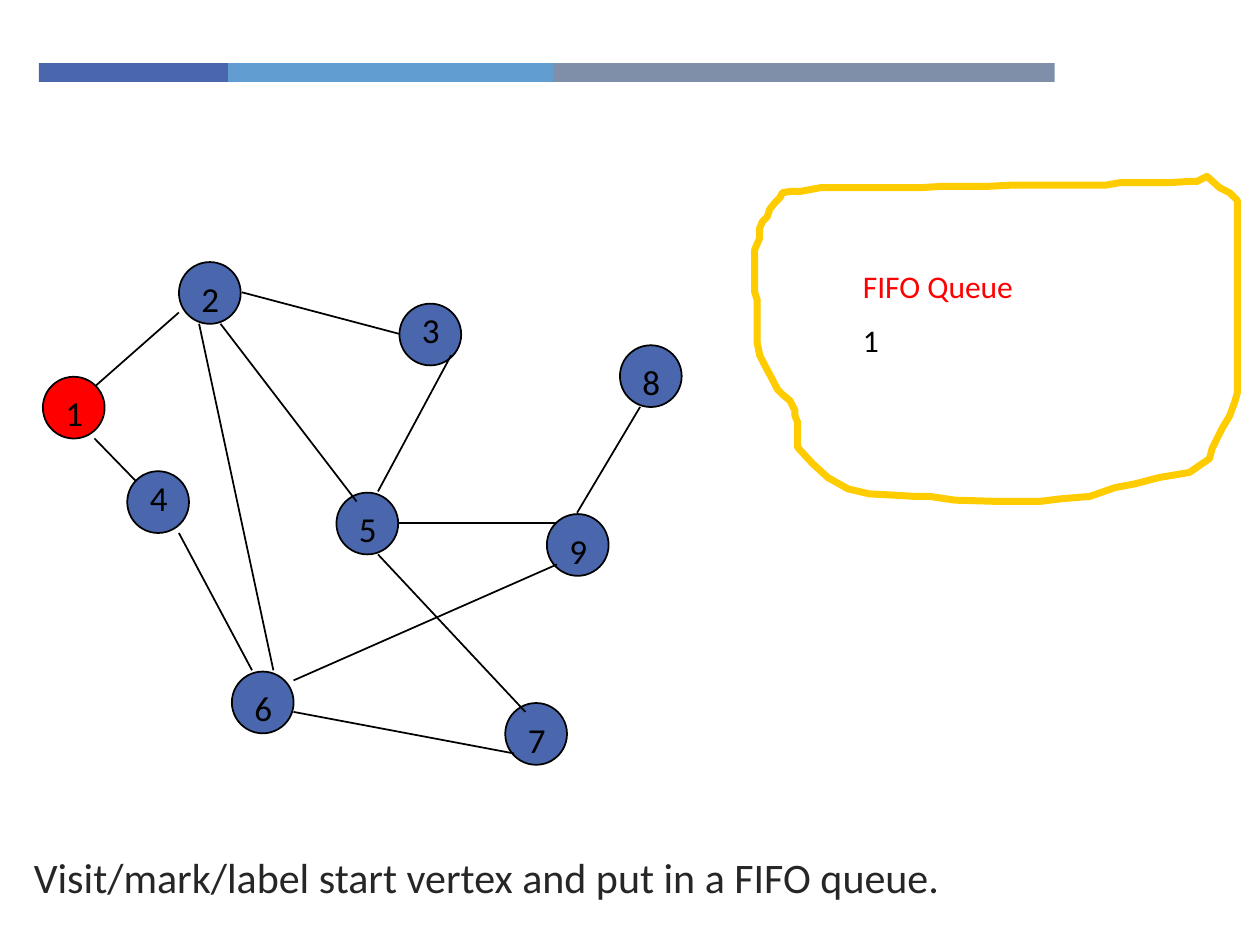
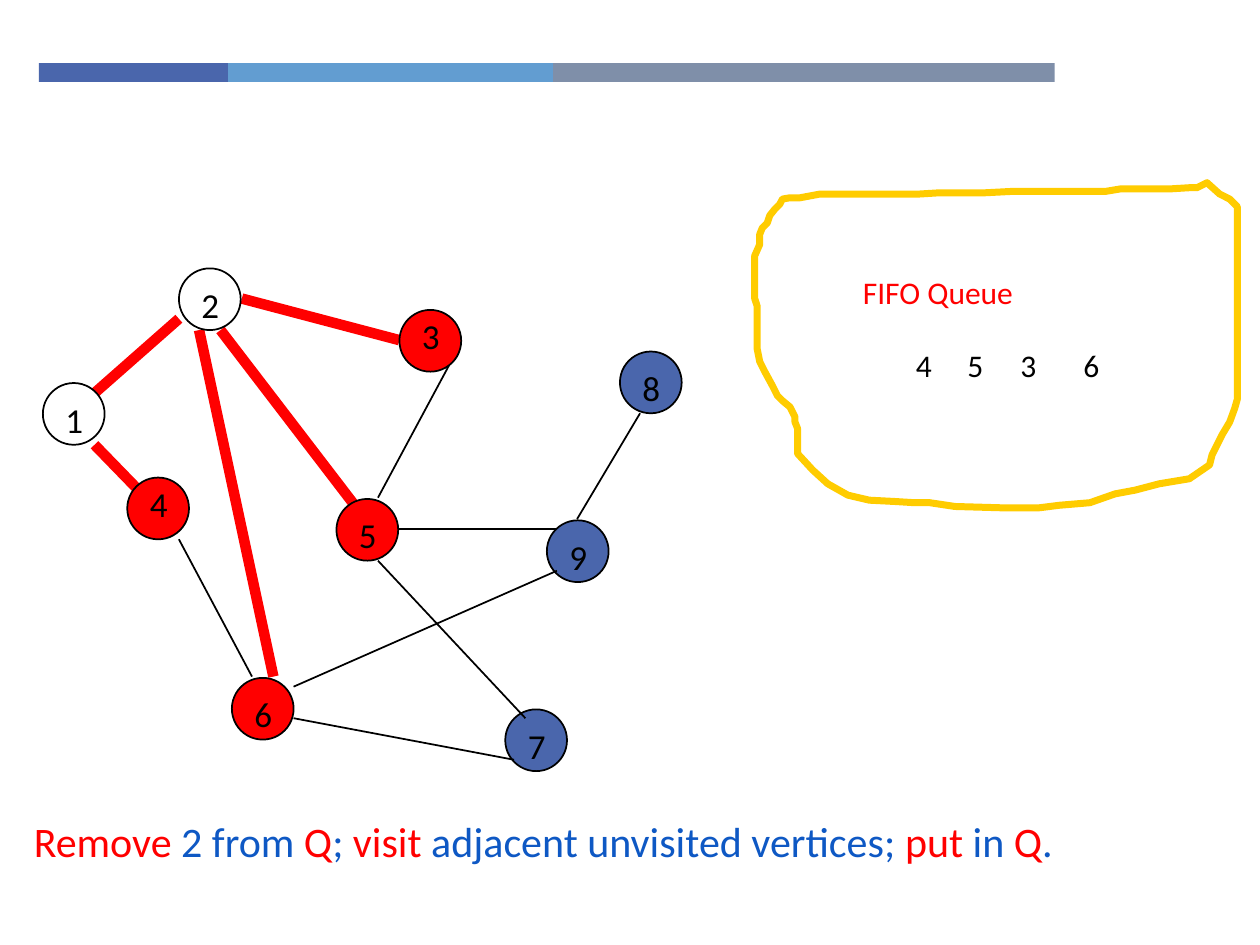
from lxml.etree import SubElement
from pptx import Presentation
from pptx.dml.color import RGBColor
from pptx.enum.shapes import MSO_CONNECTOR, MSO_SHAPE
from pptx.oxml.ns import qn
from pptx.util import Inches, Pt

FONT = "Calibri"
BLACK, WHITE, RED = "000000", "FFFFFF", "FF0000"
UNVISITED, GOLD = "4A66AC", "FFCC00"
DARK_GREY, BRIGHT_BLUE = "262626", "0E58C4"

BAND_LEFT, BAND_TOP, BAND_HEIGHT = 0.31, 0.5, 0.15
BANDS = [(1.5, "4A66AC"), (2.58, "629DD1"), (3.98, "7F8FA9")]  # width, colour

DIAMETER = 0.49
LABEL_SHIFT = {3: -0.01, 4: -0.01}  # label top relative to its circle
USUAL_LABEL_SHIFT = 0.07
VERTICES = {  # left, top
    1: (0.34, 2.99), 2: (1.42, 2.08), 3: (3.17, 2.41),
    4: (1.01, 3.74), 5: (2.67, 3.91), 6: (1.84, 5.33),
    7: (4.01, 5.58), 8: (4.92, 2.74), 9: (4.34, 4.08),
}
EDGES = {  # joined vertices: start and end of the line
    (1, 2): ((0.75, 3.07), (1.42, 2.48)),
    (2, 5): ((1.75, 2.57), (2.83, 3.98)),
    (1, 4): ((0.75, 3.48), (1.08, 3.82)),
    (4, 6): ((1.42, 4.23), (2, 5.32)),
    (6, 7): ((2.33, 5.65), (4.08, 5.98)),
    (3, 5): ((3.58, 2.82), (3, 3.9)),
    (5, 7): ((3, 4.4), (4.17, 5.65)),
    (8, 9): ((5.08, 3.23), (4.58, 4.07)),
    (5, 9): ((3.17, 4.15), (4.42, 4.15)),
    (2, 3): ((1.92, 2.32), (3.17, 2.65)),
    (2, 6): ((1.58, 2.57), (2.17, 5.32)),
    (6, 9): ((2.33, 5.4), (4.42, 4.48)),
}
QUEUE_OUTLINE = [
    (9.58, 1.4), (9.5, 1.44), (9.44, 1.44), (9.28, 1.45), (8.89, 1.45),
    (8.77, 1.47), (8.02, 1.47), (7.82, 1.48), (7.46, 1.48), (7.3, 1.49),
    (6.51, 1.49), (6.35, 1.52), (6.27, 1.52), (6.21, 1.53), (6.19, 1.57),
    (6.15, 1.61), (6.11, 1.66), (6.09, 1.72), (6.05, 1.76), (6.03, 1.81),
    (6.03, 1.89), (5.99, 1.98), (5.99, 2.32), (6.01, 2.38), (6.01, 2.72),
    (6.03, 2.82), (6.07, 2.9), (6.13, 3.01), (6.17, 3.09), (6.21, 3.13),
    (6.27, 3.18), (6.31, 3.26), (6.31, 3.3), (6.33, 3.35), (6.33, 3.55),
    (6.45, 3.68), (6.57, 3.79), (6.73, 3.88), (6.9, 3.92), (7.1, 3.93),
    (7.26, 3.94), (7.38, 3.94), (7.58, 3.97), (7.94, 3.98), (8.25, 3.98),
    (8.41, 3.96), (8.65, 3.94), (8.85, 3.87), (9.01, 3.84), (9.2, 3.79),
    (9.44, 3.75), (9.6, 3.64), (9.62, 3.56), (9.7, 3.4), (9.76, 3.3),
    (9.8, 3.19), (9.82, 3.12), (9.82, 1.59), (9.76, 1.53), (9.68, 1.49),
]
QUEUE_TITLE = [("FIFO Queue", RED)]

SLIDES = [
    {
        "shift": 0,
        "visited": {1: RED},
        "tree": [],
        "queue_text": [QUEUE_TITLE, [("1", BLACK)]],
        "queue_items": [],
        "caption_top": 6.71,
        "caption": [("Visit/mark/label start vertex and put in a FIFO queue.", DARK_GREY)],
    },
    {
        "shift": 0.05,
        "visited": {1: WHITE, 2: WHITE, 4: RED, 5: RED, 3: RED, 6: RED},
        "tree": [(1, 2), (1, 4), (2, 3), (2, 5), (2, 6)],
        "queue_text": [QUEUE_TITLE],
        "queue_items": [("4", 7.17), ("5", 7.58), ("3", 8), ("6", 8.5)],  # text, left
        "caption_top": 6.42,
        "caption": [
            ("Remove ", RED), ("2 from ", BRIGHT_BLUE), ("Q", RED), ("; ", BRIGHT_BLUE),
            ("visit", RED), (" adjacent unvisited vertices; ", BRIGHT_BLUE),
            ("put", RED), (" in ", BRIGHT_BLUE), ("Q", RED), (".", BRIGHT_BLUE),
        ],
    },
]


def rgb(colour):
    return RGBColor.from_string(colour)


def set_line(shape, colour, width):
    shape.line.color.rgb = rgb(colour)
    shape.line.width = Pt(width)


def add_filled(slide, kind, box, colour):
    shape = slide.shapes.add_shape(kind, *map(Inches, box))
    shape.shadow.inherit = False
    shape.fill.solid()
    shape.fill.fore_color.rgb = rgb(colour)
    shape.line.fill.background()
    return shape


def add_text(slide, paragraphs, box, size=20, space=9):
    """Each paragraph is a list of (text, colour); space separates paragraphs."""
    frame = slide.shapes.add_textbox(*map(Inches, box)).text_frame
    frame.word_wrap = True
    for index, runs in enumerate(paragraphs):
        paragraph = frame.add_paragraph() if index else frame.paragraphs[0]
        if index:
            paragraph.space_before = Pt(space)
        for text, colour in runs:
            run = paragraph.add_run()
            run.text = text
            run.font.name = FONT
            run.font.size = Pt(size)
            run.font.color.rgb = rgb(colour)


def add_bands(slide):
    left = BAND_LEFT
    for width, colour in BANDS:
        add_filled(slide, MSO_SHAPE.RECTANGLE, (left, BAND_TOP, width, BAND_HEIGHT), colour)
        left += width


def add_vertex(slide, number, colour, shift):
    left, top = VERTICES[number]
    top += shift
    circle = add_filled(slide, MSO_SHAPE.OVAL, (left, top, DIAMETER, DIAMETER), colour)
    set_line(circle, BLACK, 1)
    label_top = top + LABEL_SHIFT.get(number, USUAL_LABEL_SHIFT)
    add_text(slide, [[(str(number), BLACK)]], (left + 0.08, label_top, 0.25, 0.43))


def add_edge(slide, start, end, shift, in_tree):
    (x1, y1), (x2, y2) = start, end
    ends = map(Inches, (x1, y1 + shift, x2, y2 + shift))
    edge = slide.shapes.add_connector(MSO_CONNECTOR.STRAIGHT, *ends)
    set_line(edge, RED if in_tree else BLACK, 6 if in_tree else 1)
    SubElement(edge._element.spPr, qn("a:effectLst"))


def add_graph(slide, visited, tree, shift):
    """Visited vertices cover the edge ends; unvisited ones lie below them."""
    for number in VERTICES:
        if number not in visited:
            add_vertex(slide, number, UNVISITED, shift)
    for pair, (start, end) in EDGES.items():
        add_edge(slide, start, end, shift, pair in tree)
    for number, colour in visited.items():
        add_vertex(slide, number, colour, shift)


def add_queue(slide, text, items, shift):
    points = [(Inches(x), Inches(y + shift)) for x, y in QUEUE_OUTLINE]
    builder = slide.shapes.build_freeform(*points[0])
    builder.add_line_segments(points[1:], close=True)
    outline = builder.convert_to_shape()
    outline.shadow.inherit = False
    outline.fill.background()
    set_line(outline, GOLD, 4)
    add_text(slide, text, (6.75, 2.07 + shift, 3.08, 0.86), size=18)
    for item, left in items:
        add_text(slide, [[(item, BLACK)]], (left, 2.7, 0.42, 0.63), size=18)


def main():
    presentation = Presentation()
    presentation.slide_width, presentation.slide_height = Inches(10), Inches(7.5)
    blank_layout = presentation.slide_layouts[6]
    for step in SLIDES:
        slide = presentation.slides.add_slide(blank_layout)
        add_bands(slide)
        add_graph(slide, step["visited"], step["tree"], step["shift"])
        add_queue(slide, step["queue_text"], step["queue_items"], step["shift"])
        add_text(slide, [step["caption"]], (0.17, step["caption_top"], 9.83, 0.78), size=24)
    presentation.save("out.pptx")


if __name__ == "__main__":
    main()
